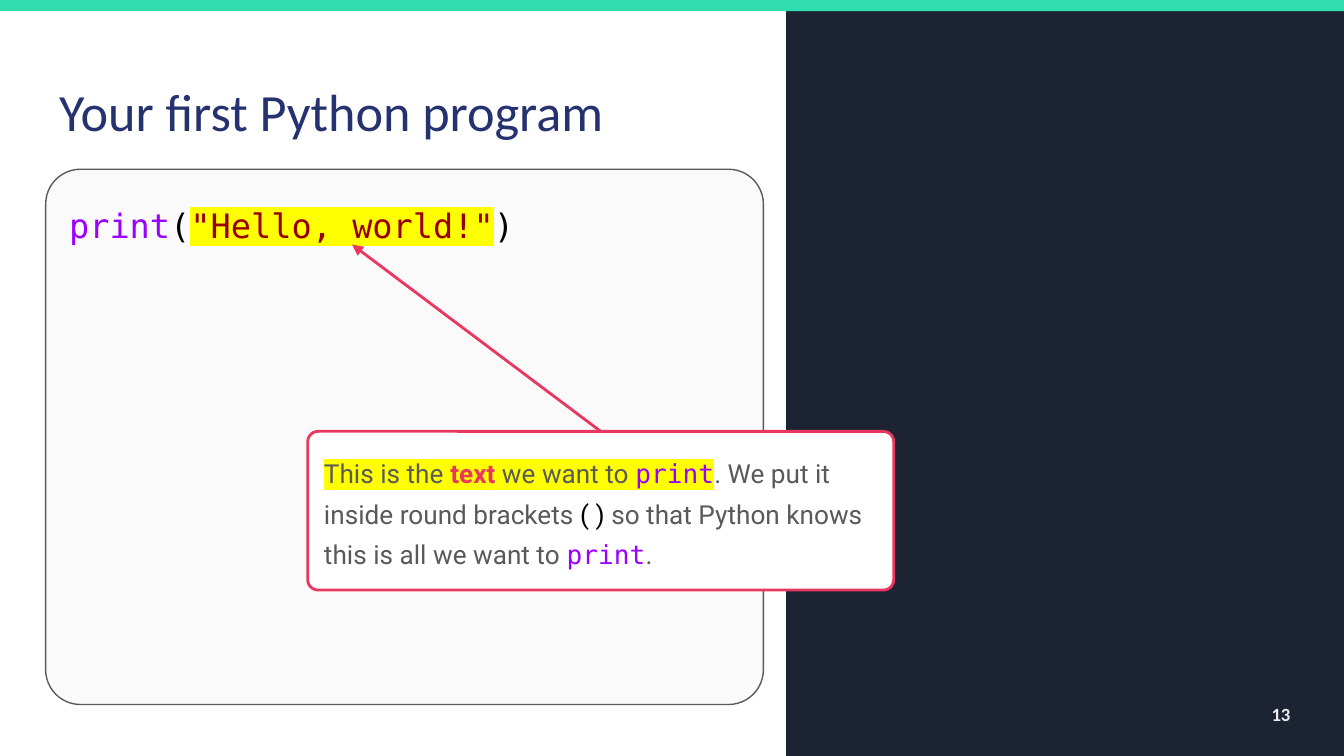
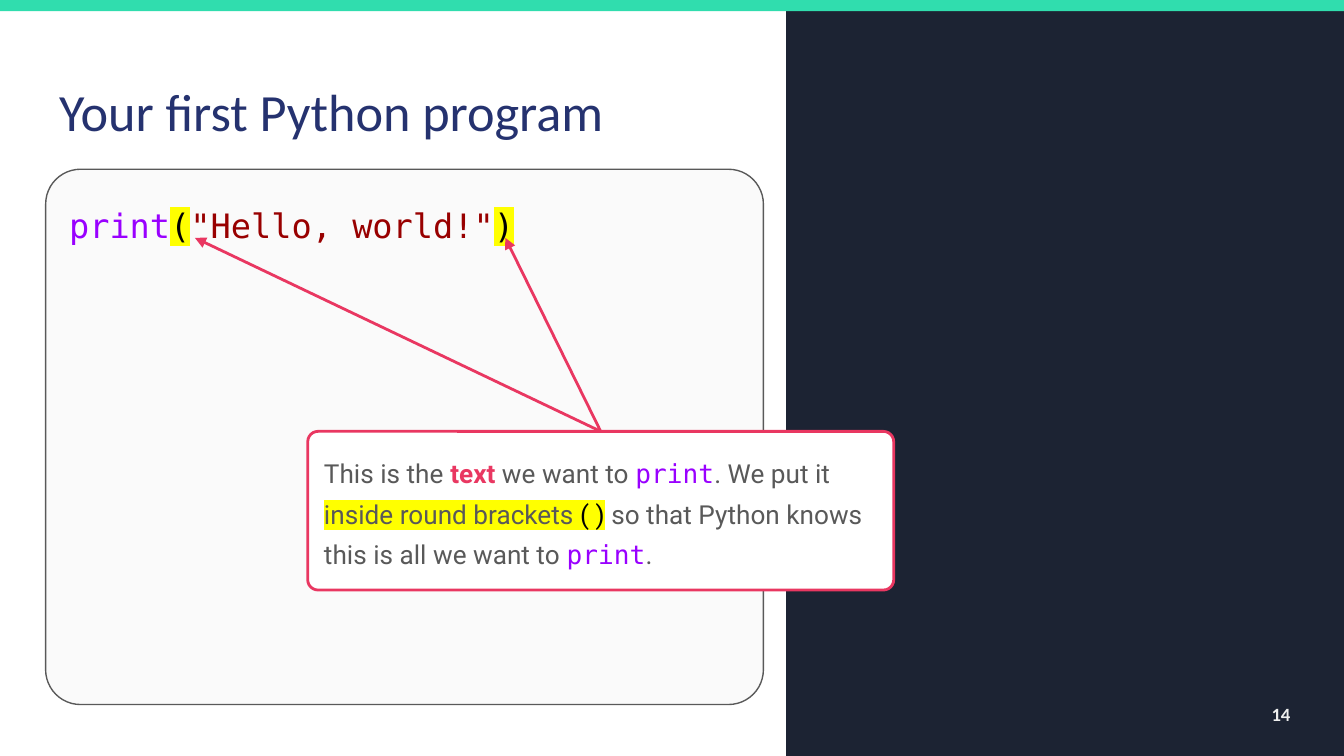
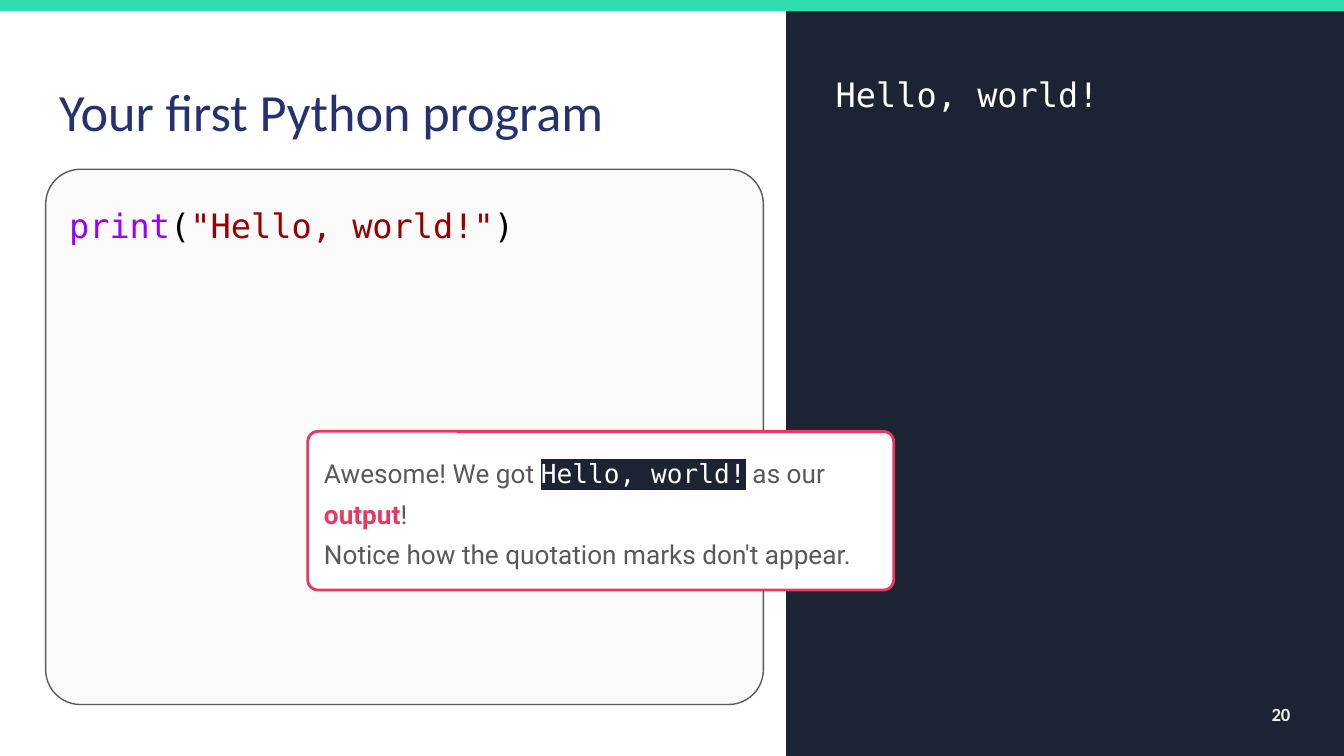
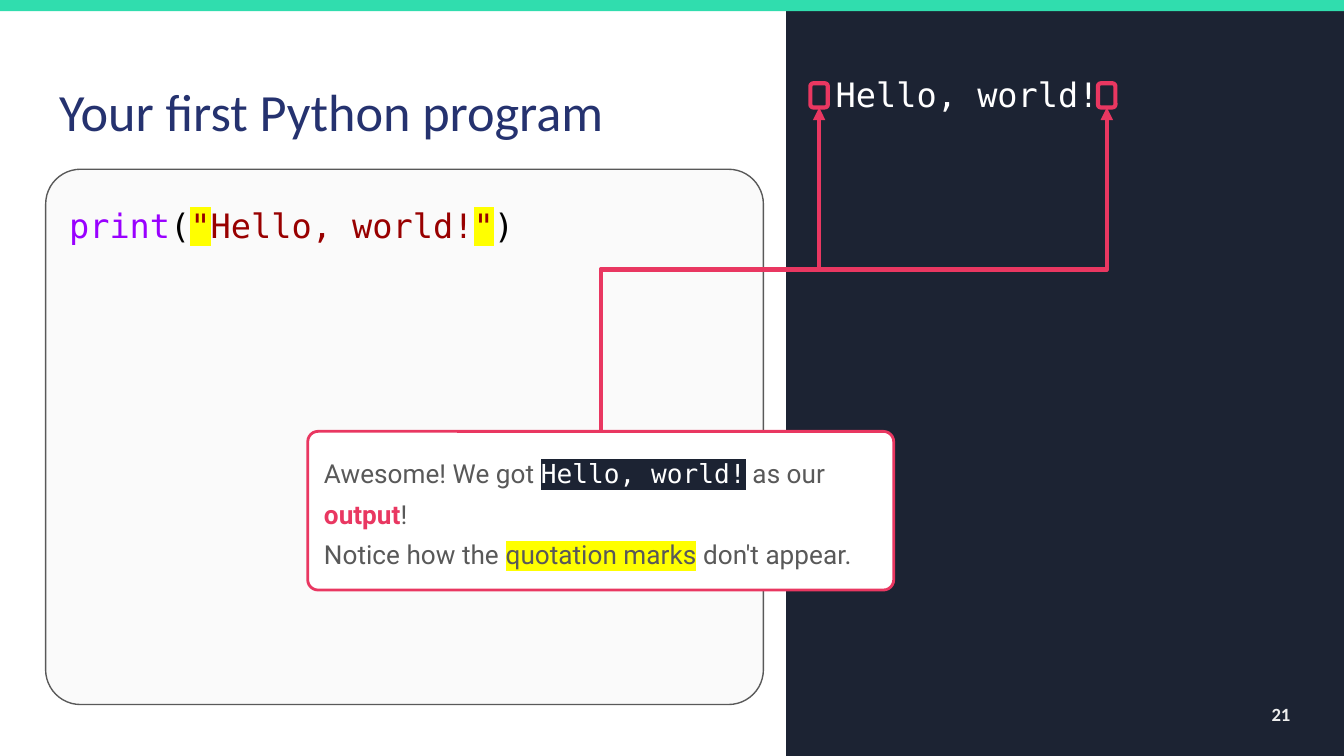
from dataclasses import dataclass
from typing import Optional

from lxml.etree import SubElement
from pptx import Presentation
from pptx.dml.color import RGBColor
from pptx.enum.shapes import MSO_CONNECTOR, MSO_SHAPE
from pptx.enum.text import MSO_ANCHOR, MSO_AUTO_SIZE, PP_ALIGN
from pptx.oxml.ns import qn
from pptx.util import Inches, Pt

WHITE = RGBColor(0xFF, 0xFF, 0xFF)
BLACK = RGBColor(0x00, 0x00, 0x00)
NIGHT = RGBColor(0x1C, 0x23, 0x33)
MINT = RGBColor(0x30, 0xDD, 0xAE)
NAVY = RGBColor(0x25, 0x32, 0x6F)
PINK = RGBColor(0xE9, 0x37, 0x61)
GREY = RGBColor(0x59, 0x59, 0x59)
PAPER = RGBColor(0xFA, 0xFA, 0xFA)
SILVER = RGBColor(0xEE, 0xEE, 0xEE)
PURPLE = RGBColor(0x99, 0x00, 0xFF)
MAROON = RGBColor(0x98, 0x00, 0x00)
YELLOW = RGBColor(0xFF, 0xFF, 0x00)

HEADING_FONT = "Calibri"
CODE_FONT = "DejaVu Sans Mono"
BODY_FONT = "Roboto"
CORNER = 0.065


@dataclass(frozen=True)
class Style:
    """Character format of a span."""

    font: str
    colour: RGBColor
    bold: bool = False
    highlight: Optional[RGBColor] = None


@dataclass(frozen=True)
class Box:
    """A rectangle whose inner boxes are given in percent of its size."""

    left: int
    top: int
    width: int
    height: int

    def point(self, across, down):
        """Return the position at a percentage across and down."""
        return (int(self.left + self.width * across / 100),
                int(self.top + self.height * down / 100))

    def inner(self, across, down, width, height):
        """Return a box inside this one."""
        return Box(*self.point(across, down),
                   int(self.width * width / 100), int(self.height * height / 100))

    def bounds(self):
        """Return left, top, width and height."""
        return self.left, self.top, self.width, self.height


PAGE = Box(0, 0, Inches(10), Inches(5.625))
BAND = PAGE.inner(0, 0, 100, 1.5)
TITLE = PAGE.inner(3.4, 8.71, 53.4, 11.2)
EDITOR = PAGE.inner(3.4, 22.4, 53.4, 70.8)
CONSOLE = PAGE.inner(58.5, 0, 41.5, 100)
CALLOUT = PAGE.inner(22.9, 57.07, 43.6, 20.98)
CALLOUT_TOP = CALLOUT.point(50, 0)

HEADING = Style(HEADING_FONT, NAVY)
NUMBER = Style(HEADING_FONT, SILVER, bold=True)
KEYWORD = Style(CODE_FONT, PURPLE)
BRACKET = Style(CODE_FONT, BLACK)
STRING = Style(CODE_FONT, MAROON)
OUTPUT = Style(CODE_FONT, WHITE)
CHIP = Style(CODE_FONT, WHITE, highlight=NIGHT)
BODY = Style(BODY_FONT, GREY)
ROUND = Style(BODY_FONT, BLACK)
TERM = Style(BODY_FONT, PINK, bold=True)

GREETING = "Hello, world!"
CODE = [[("print", KEYWORD), ("(", BRACKET), ('"', STRING),
         (GREETING, STRING), ('"', STRING), (")", BRACKET)]]
EXPLANATION = [[("This is the ", BODY), ("text", TERM), (" we want to ", BODY),
                ("print", KEYWORD), (". We put it ", BODY),
                ("inside round brackets ", BODY), ("( )", ROUND),
                (" so that Python knows this is all we want to ", BODY),
                ("print", KEYWORD), (".", BODY)]]
RESULT = [[("Awesome! We got ", BODY), (GREETING, CHIP), (" as our ", BODY),
           ("output", TERM), ("!", BODY)],
          [("Notice how the ", BODY), ("quotation marks", BODY),
           (" don't appear.", BODY)]]


def lit(paragraphs, *marked):
    """Return the paragraphs with marked spans of the last one in yellow."""
    spans = [(text, Style(style.font, style.colour, style.bold, YELLOW))
             if index in marked else (text, style)
             for index, (text, style) in enumerate(paragraphs[-1])]
    return paragraphs[:-1] + [spans]


def format_span(span, style, size):
    """Apply a style to one run."""
    span.font.size = Pt(size)
    span.font.bold = style.bold
    span.font.color.rgb = style.colour
    span.font.name = style.font
    if style.highlight is not None:
        properties = span.font._element
        highlight = SubElement(properties, qn("a:highlight"))
        SubElement(highlight, qn("a:srgbClr"), val=str(style.highlight))
        properties.find(qn("a:solidFill")).addnext(highlight)


def write(shape, paragraphs, size, spacing=1.0, align=PP_ALIGN.LEFT,
          anchor=MSO_ANCHOR.TOP):
    """Fill a shape with paragraphs made of styled spans."""
    frame = shape.text_frame
    frame.word_wrap = True
    frame.auto_size = MSO_AUTO_SIZE.NONE
    frame.vertical_anchor = anchor
    frame.margin_left = frame.margin_right = Inches(0.1)
    frame.margin_top = frame.margin_bottom = Inches(0.1)
    for index, spans in enumerate(paragraphs):
        para = frame.add_paragraph() if index else frame.paragraphs[0]
        para.alignment = align
        para.line_spacing = spacing
        for text, style in spans:
            span = para.add_run()
            span.text = text
            format_span(span, style, size)


def add_panel(page, box, fill=None, line=None, weight=0.75, corner=None):
    """Add a rectangle, rounded if a corner is given."""
    kind = MSO_SHAPE.RECTANGLE if corner is None else MSO_SHAPE.ROUNDED_RECTANGLE
    panel = page.shapes.add_shape(kind, *box.bounds())
    panel.shadow.inherit = False
    if corner is not None:
        panel.adjustments[0] = corner
    if fill is None:
        panel.fill.background()
    else:
        panel.fill.solid()
        panel.fill.fore_color.rgb = fill
    if line is None:
        panel.line.fill.background()
    else:
        panel.line.color.rgb = line
        panel.line.width = Pt(weight)
    return panel


def add_arrow(page, start, end, weight=1.5, kind=MSO_CONNECTOR.STRAIGHT):
    """Add a pink connector with an arrowhead at its end."""
    arrow = page.shapes.add_connector(kind, *start, *end)
    arrow.line.color.rgb = PINK
    arrow.line.width = Pt(weight)
    properties = arrow._element.spPr
    SubElement(properties.find(qn("a:ln")), qn("a:tailEnd"), type="triangle")
    SubElement(properties, qn("a:effectLst"))
    return arrow


def add_rising_elbow(page, start, end):
    """Add an elbow arrow that leaves and arrives vertically."""
    centre_x, centre_y = (start[0] + end[0]) // 2, (start[1] + end[1]) // 2
    half_rise, half_run = (start[1] - end[1]) // 2, (end[0] - start[0]) // 2
    arrow = add_arrow(page, (centre_x - half_rise, centre_y - half_run),
                      (centre_x + half_rise, centre_y + half_run),
                      2.25, MSO_CONNECTOR.ELBOW)
    arrow._element.spPr.find(qn("a:xfrm")).set("rot", str(270 * 60000))


def add_text(page, box, text, style, size, **layout):
    """Add a text box with one span."""
    label = page.shapes.add_textbox(*box.bounds())
    write(label, [[(text, style)]], size, **layout)


def add_title(page, box):
    """Place and format the title placeholder."""
    title = page.shapes.title
    title.left, title.top, title.width, title.height = box.bounds()
    write(title, [[("Your first Python program", HEADING)]], 28)


def add_editor(page, box, code):
    """Add the code area."""
    editor = add_panel(page, box, PAPER, GREY, corner=CORNER)
    write(editor, code, 18, 1.3)


def add_console(page, box, number, output):
    """Add the dark side panel with its output and slide number."""
    add_panel(page, box, NIGHT)
    add_text(page, box.inner(78.31, 90.67, 14.46, 7.64), str(number), NUMBER, 10,
             align=PP_ALIGN.RIGHT, anchor=MSO_ANCHOR.MIDDLE)
    if output:
        add_text(page, box.inner(6.5, 8, 86.27, 70.8), output, OUTPUT, 18)


def add_callout(page, box, paragraphs):
    """Add the pink-framed explanation."""
    callout = add_panel(page, box, WHITE, PINK, 1.5, CORNER)
    write(callout, paragraphs, 14, 1.3)


def add_missing_quotes(page, box):
    """Frame the places beside the output where quotation marks are absent."""
    for across in (4.34, 55.9):
        mark = box.inner(across, 11.02, 3.13, 3.2)
        add_panel(page, mark, line=PINK, weight=2.25, corner=0.167)
        add_rising_elbow(page, CALLOUT_TOP, mark.point(50, 100))


def add_lesson(deck, number, code, explanation, output="", targets=(),
               missing_quotes=False):
    """Add one step of the lesson, with arrows to targets in the code."""
    page = deck.slides.add_slide(deck.slide_layouts[5])
    add_editor(page, EDITOR, code)
    add_console(page, CONSOLE, number, output)
    add_title(page, TITLE)
    add_panel(page, BAND, MINT)
    if missing_quotes:
        add_missing_quotes(page, CONSOLE)
    add_callout(page, CALLOUT, explanation)
    for target in targets:
        add_arrow(page, CALLOUT_TOP, EDITOR.point(*target))


def main():
    """Build the deck."""
    deck = Presentation()
    deck.slide_width, deck.slide_height = PAGE.width, PAGE.height
    add_lesson(deck, 13, lit(CODE, 2, 3, 4), lit(EXPLANATION, 0, 1, 2, 3),
               targets=[(42.7, 14.07)])
    add_lesson(deck, 14, lit(CODE, 1, 5), lit(EXPLANATION, 5, 6),
               targets=[(64.04, 12.8), (20.79, 12.8)])
    add_lesson(deck, 20, CODE, RESULT, GREETING)
    add_lesson(deck, 21, lit(CODE, 2, 4), lit(RESULT, 1), GREETING,
               missing_quotes=True)
    deck.save("out.pptx")


if __name__ == "__main__":
    main()
